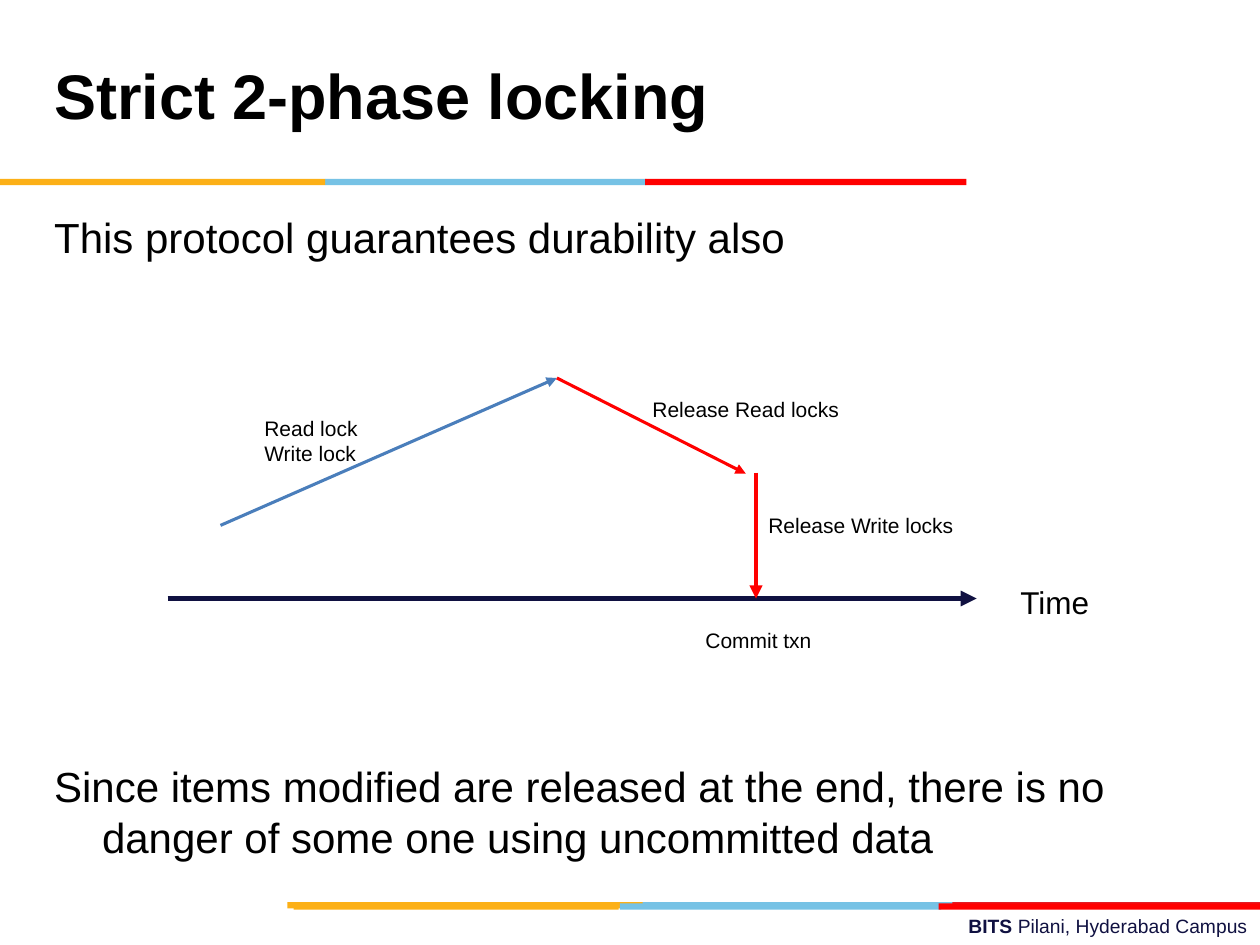
from lxml.etree import SubElement
from pptx import Presentation
from pptx.dml.color import RGBColor
from pptx.enum.shapes import MSO_CONNECTOR, MSO_SHAPE
from pptx.enum.text import MSO_ANCHOR, MSO_AUTO_SIZE, PP_ALIGN
from pptx.oxml.ns import qn
from pptx.util import Inches, Pt

BLACK, NAVY, BLUE = "000000", "101141", "4A7EBB"
AMBER, SKY, RED, CRIMSON = "FCB017", "76C2E5", "FF0000", "E31C24"


def rgb(value):
    return RGBColor.from_string(value)


class SlideBuilder:
    font = "Arial"

    def __init__(self, slide):
        self.s = slide

    def run(self, p, text, size, color=BLACK, bold=False):
        r = p.add_run()
        r.text = text
        r.font.name = self.font
        r.font.size = Pt(size)
        r.font.bold = bold
        r.font.color.rgb = rgb(color)

    def placeholder(self, sp, box, lines, size, indent, anchor, bold=False,
                    line_spacing=None, gap=0):
        sp.left, sp.top, sp.width, sp.height = map(Inches, box)
        tf = sp.text_frame
        tf.word_wrap = True
        tf.auto_size = MSO_AUTO_SIZE.NONE
        tf.vertical_anchor = anchor
        for i, line in enumerate(lines):
            p = tf.add_paragraph() if i else tf.paragraphs[0]
            p.alignment = PP_ALIGN.LEFT
            p.space_before = Pt(gap if i else 0)
            if line_spacing:
                p.line_spacing = Pt(line_spacing)
            pPr = p._p.get_or_add_pPr()
            pPr.set("marL", str(Inches(indent)))
            pPr.set("indent", str(-Inches(indent)))
            SubElement(pPr, qn("a:buNone"))
            self.run(p, line, size, bold=bold)

    def label(self, box, lines, size=12, color=BLACK, wrap=True,
              align=PP_ALIGN.LEFT):
        tf = self.s.shapes.add_textbox(*map(Inches, box)).text_frame
        tf.word_wrap = wrap
        for i, runs in enumerate(lines):
            p = tf.add_paragraph() if i else tf.paragraphs[0]
            p.alignment = align
            for text, bold in runs:
                self.run(p, text, size, color, bold)

    def bars(self, top, pieces):
        for left, width, color in pieces:
            sp = self.s.shapes.add_shape(
                MSO_SHAPE.RECTANGLE, Inches(left), Inches(top),
                Inches(width), Inches(0.05))
            sp.shadow.inherit = False
            sp.fill.solid()
            sp.fill.fore_color.rgb = rgb(color)
            sp.line.fill.background()

    def arrow(self, start, end, color, width):
        c = self.s.shapes.add_connector(
            MSO_CONNECTOR.STRAIGHT, *map(Inches, start + end))
        c.line.color.rgb = rgb(color)
        c.line.width = Pt(width)
        SubElement(c.line._get_or_add_ln(), qn("a:tailEnd"), type="triangle")
        SubElement(c._element.spPr, qn("a:effectLst"))


def main():
    prs = Presentation()
    prs.slide_width, prs.slide_height = Inches(10), Inches(7.5)
    s = prs.slides.add_slide(prs.slide_layouts[1])
    b = SlideBuilder(s)

    b.placeholder(s.shapes.title, (0.33, 0.17, 6.92, 1.25),
                  ["Strict 2-phase locking"], 36, 0.37, MSO_ANCHOR.MIDDLE,
                  bold=True, line_spacing=36)
    b.placeholder(s.placeholders[1], (0.33, 1.63, 9, 5.28),
                  ["This protocol guarantees durability also",
                   "Since items modified are released at the end, there is no "
                   "danger of some one using uncommitted data"],
                  24, 0.38, MSO_ANCHOR.TOP, gap=285)

    b.bars(1.42, [(2.58, 2.55, SKY), (0, 2.58, AMBER), (5.12, 2.55, RED)])
    b.bars(7.16, [(5.06, 2.55, SKY), (7.56, 2.44, CRIMSON),
                  (2.28, 2.82, AMBER)])
    b.bars(7.17, [(4.92, 2.55, SKY), (2.33, 2.58, AMBER), (7.45, 2.55, RED)])
    b.label((3.58, 7.21, 6.42, 0.29),
            [[("BITS ", True), ("Pilani, Hyderabad Campus", False)]],
            size=11, color=NAVY, align=PP_ALIGN.RIGHT)

    b.arrow((1.75, 4.17), (4.42, 3), BLUE, 1.75)
    b.arrow((4.42, 3), (5.92, 3.76), RED, 1.75)
    b.arrow((1.33, 4.75), (7.75, 4.75), NAVY, 3)
    b.arrow((6, 3.75), (6, 4.75), RED, 2.5)

    b.label((8, 4.58, 0.75, 0.4), [[("Time", False)]], size=18, wrap=False)
    b.label((2, 3.25, 0.94, 0.5),
            [[("Read lock", False)], [("Write lock", False)]], wrap=False)
    b.label((5.08, 3.1, 1.83, 0.3), [[("Release Read locks", False)]])
    b.label((6, 4.02, 1.83, 0.3), [[("Release Write locks", False)]])
    b.label((5.5, 4.93, 1.08, 0.3), [[("Commit txn", False)]])

    prs.save("out.pptx")


if __name__ == "__main__":
    main()
